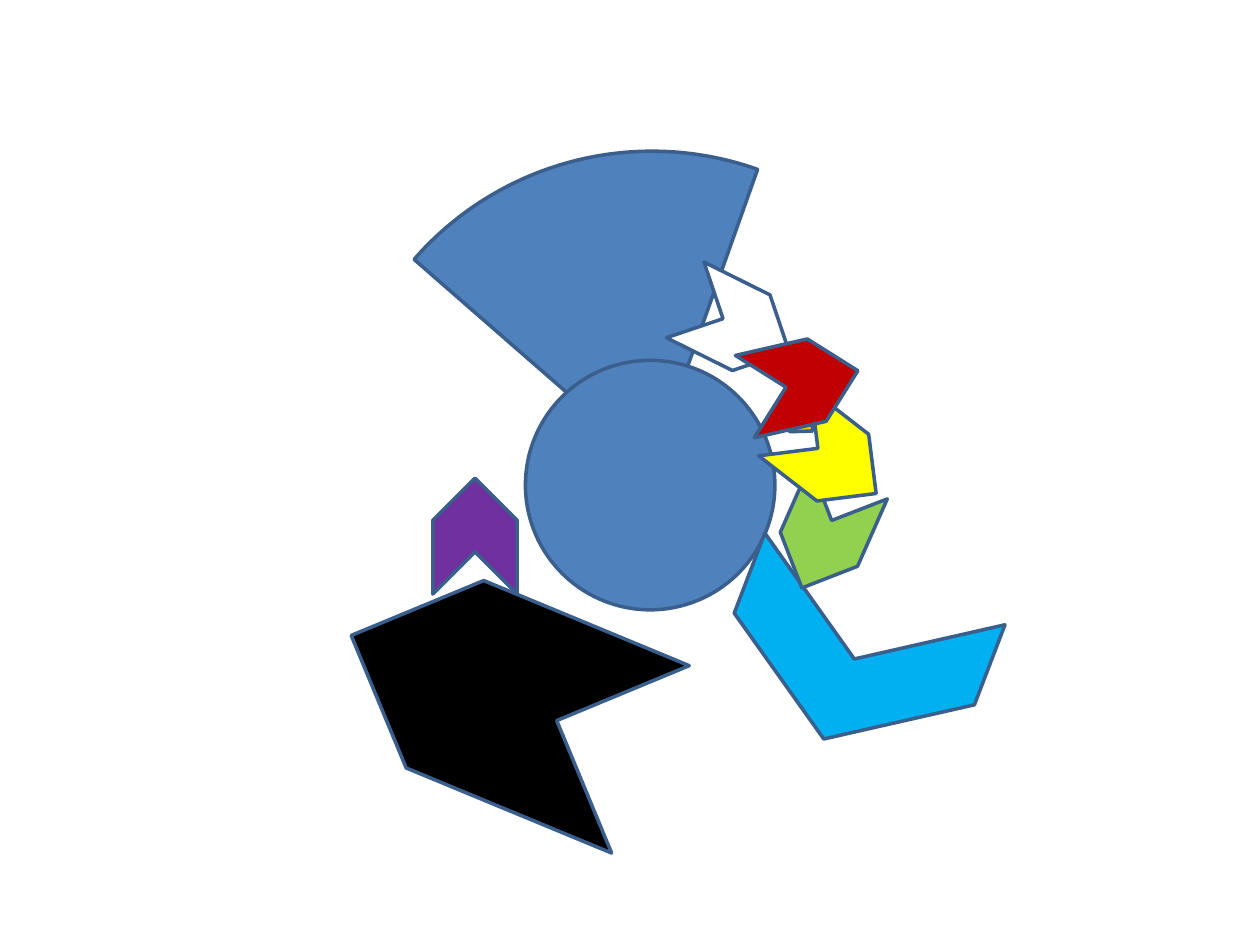
from dataclasses import dataclass
from pptx import Presentation
from pptx.dml.color import RGBColor
from pptx.enum.shapes import MSO_SHAPE as Shape
from pptx.slide import Slide
from pptx.util import Inches, Pt

BLUE = "4F81BD"
SMALL = (0.92, 0.67)  # size shared by most chevrons

# Left, top, (width, height), rotation, fill; from back to front
CHEVRONS = [
    (5.39, 2.25, SMALL, 26.4, "FFFFFF"),
    (2.69, 4.73, (2.57, 1.61), 202.5, "000000"),
    (3.31, 3.92, SMALL, 270, "7030A0"),
    (6.1, 4.21, (1.36, 2.04), 110.9, "00B0F0"),
    (6.09, 3.91, SMALL, 113.8, "92D050"),
    (6.13, 3.3, SMALL, 37.8, "FFFF00"),
    (6.18, 3.19, (0.31, 0.25), 43.5, "FFC000"),
    (5.9, 2.71, SMALL, 347.1, "C00000"),
]


def color(hex_value):
    return RGBColor.from_string(hex_value)


@dataclass
class Canvas:
    slide: Slide
    line_color: str = "3A5F8C"
    line_width: float = 2

    def add(self, kind, left, top, size, rotation, fill):
        box = [Inches(value) for value in (left, top, *size)]
        shape = self.slide.shapes.add_shape(kind, *box)
        shape.rotation = rotation
        shape.shadow.inherit = False
        shape.fill.solid()
        shape.fill.fore_color.rgb = color(fill)
        line_format = {"width": Pt(self.line_width)}
        for name, value in line_format.items():
            setattr(shape.line, name, value)
        shape.line.color.rgb = color(self.line_color)
        return shape

    def circle(self, left, top, diameter, fill):
        return self.add(Shape.OVAL, left, top, (diameter, diameter), 0, fill)

    def pie(self, left, top, diameter, rotation, angles, fill):
        shape = self.add(Shape.PIE, left, top, (diameter, diameter), rotation, fill)
        # Angles are stored in 60000ths of a degree, adjustments in 100000ths
        for index, angle in enumerate(angles):
            shape.adjustments[index] = angle * 60000 / 100000
        return shape

    def chevron(self, left, top, size, rotation, fill):
        return self.add(Shape.CHEVRON, left, top, size, rotation, fill)


def main():
    presentation = Presentation()
    presentation.slide_width = Inches(10)
    presentation.slide_height = Inches(7.5)
    canvas = Canvas(presentation.slides.add_slide(presentation.slide_layouts[6]))

    # Fan and central disc
    canvas.pie(2.67, 1.2, 5.01, 345.8, (235.29, 303.75), BLUE)
    canvas.circle(4.17, 2.86, 1.98, BLUE)

    # Coloured chevrons around the disc
    for chevron in CHEVRONS:
        canvas.chevron(*chevron)

    presentation.save("out.pptx")


if __name__ == "__main__":
    main()
